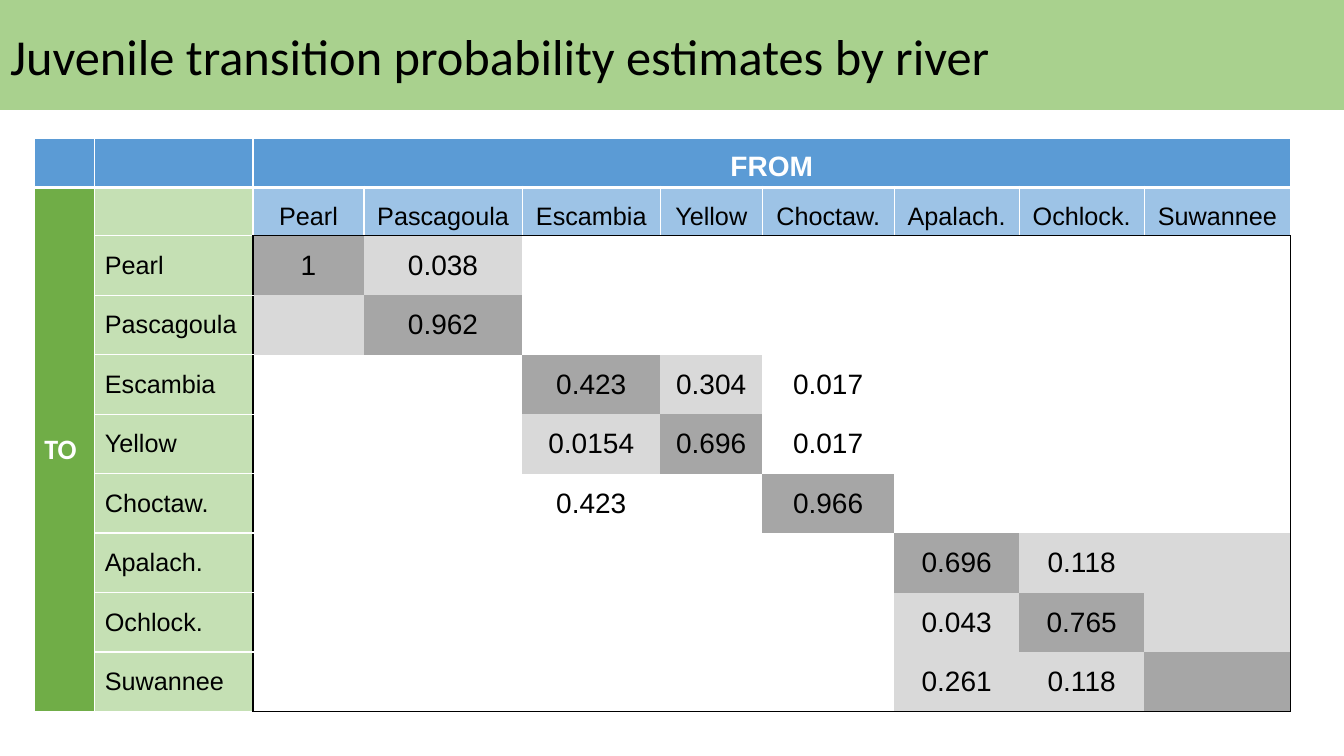
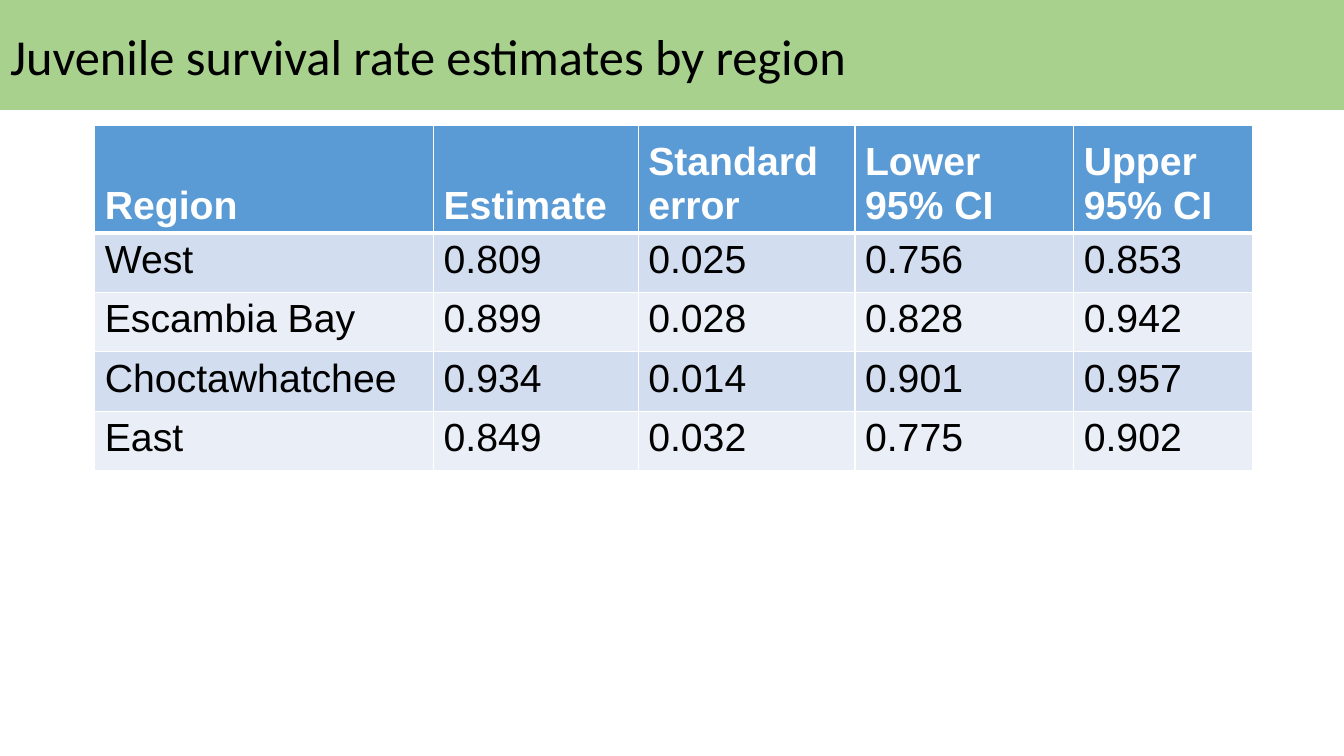
"""Build two slides of juvenile river transition and survival tables."""
import pptx
import pptx.util
import pptx.dml.color
import pptx.enum.text
import lxml.etree


class Theme:
    white, black = "FFFFFF", "000000"
    band, head, sub = "A9D18E", "5B9BD5", "9DC3E6"
    green, pale = "70AD47", "C5E0B4"
    dark, light = "A6A6A6", "D9D9D9"
    rows = ("D2DEEF", "EAEFF7")
    sans, plain = "Arial", "Calibri"
    title, big, mid, small = 36, 28, 20, 18


Inch = pptx.util.Inches
Color = pptx.dml.color.RGBColor.from_string
Align = pptx.enum.text.PP_ALIGN
Anchor = pptx.enum.text.MSO_ANCHOR
thin, thick, ink = (Theme.white, 1), (Theme.white, 3), (Theme.black, 1)

deck = pptx.Presentation()
deck.slide_width, deck.slide_height = Inch(13.33), Inch(7.5)


def write(frame, text, size, color=Theme.black, bold=False,
          face=Theme.sans, align=Align.LEFT):
    line = frame.paragraphs[0]
    line.alignment = align
    run = line.add_run()
    run.text = text
    run.font.size = pptx.util.Pt(size)
    run.font.name = face
    run.font.bold = bold
    run.font.color.rgb = Color(color)


def paint(cell, fill, edges, anchor=Anchor.MIDDLE):
    cell.vertical_anchor = anchor
    props = cell._tc.get_or_add_tcPr()
    for side, edge in zip("LRTB", edges):
        line = lxml.etree.SubElement(props, pptx.oxml.ns.qn("a:ln" + side))
        if edge:
            line.set("w", str(pptx.util.Pt(edge[1])))
            paper = lxml.etree.SubElement(line, pptx.oxml.ns.qn("a:solidFill"))
            lxml.etree.SubElement(paper, pptx.oxml.ns.qn("a:srgbClr"), val=edge[0])
        else:
            lxml.etree.SubElement(line, pptx.oxml.ns.qn("a:noFill"))
    cell.fill.solid()
    cell.fill.fore_color.rgb = Color(fill)


plans = [
    ("Juvenile transition probability estimates by river", 0.34, 1.37,
     [0.6, 1.57, 1.1, 1.57, 1.37, 1.01, 1.31, 1.24, 1.24, 1.45],
     [0.49, 0.48] + [0.59] * 8),
    ("Juvenile survival rate estimates by region", 0.94, 1.24,
     [3.36, 2.03, 2.15, 2.17, 1.77],
     [1.07] + [0.59] * 4),
]
grids = []
for name, left, top, cols, rows in plans:
    slide = deck.slides.add_slide(deck.slide_layouts[5])
    title = slide.shapes.title
    title.left = title.top = 0
    title.width, title.height = deck.slide_width, Inch(1.09)
    title.fill.solid()
    title.fill.fore_color.rgb = Color(Theme.band)
    title.text_frame.word_wrap = True
    title.text_frame.auto_size = pptx.enum.text.MSO_AUTO_SIZE.NONE
    title.text_frame.vertical_anchor = Anchor.MIDDLE
    write(title.text_frame, name, Theme.title, face=Theme.plain)
    grid = slide.shapes.add_table(len(rows), len(cols), Inch(left), Inch(top),
                                  Inch(sum(cols)), Inch(sum(rows))).table
    grid.first_row = grid.horz_banding = False
    for col, width in zip(grid.columns, cols):
        col.width = Inch(width)
    for row, height in zip(grid.rows, rows):
        row.height = Inch(height)
    grids.append(grid)

moves, rates = grids

rivers = ["Pearl", "Pascagoula", "Escambia", "Yellow",
          "Choctaw.", "Apalach.", "Ochlock.", "Suwannee"]
zones = [0, 0, 1, 1, 2, 3, 3, 3]
odds = [
    ["1", "0.038", "", "", "", "", "", ""],
    ["", "0.962", "", "", "", "", "", ""],
    ["", "", "0.423", "0.304", "0.017", "", "", ""],
    ["", "", "0.0154", "0.696", "0.017", "", "", ""],
    ["", "", "0.423", "", "0.966", "", "", ""],
    ["", "", "", "", "", "0.696", "0.118", ""],
    ["", "", "", "", "", "0.043", "0.765", ""],
    ["", "", "", "", "", "0.261", "0.118", ""],
]
last = len(rivers) - 1

for c in range(len(rivers) + 2):
    paint(moves.cell(0, c), Theme.head, (thin, thin, thin, thick), Anchor.BOTTOM)
for r in range(1, len(rivers) + 2):
    paint(moves.cell(r, 0), Theme.green,
          (thin, thin, thick if r == 1 else thin, thin))
moves.cell(0, 2).merge(moves.cell(0, last + 2))
moves.cell(1, 0).merge(moves.cell(last + 2, 0))
write(moves.cell(0, 2).text_frame, "FROM", Theme.mid, Theme.white, True,
      align=Align.CENTER)
write(moves.cell(1, 0).text_frame, "TO", Theme.mid, Theme.white, True, Theme.plain)
paint(moves.cell(1, 1), Theme.pale, (thin, thin, thick, thin))

for r, river in enumerate(rivers):
    top = moves.cell(1, r + 2)
    paint(top, Theme.sub, (thin, thin, thick, ink), Anchor.BOTTOM)
    write(top.text_frame, river, Theme.small, align=Align.CENTER)
    side = moves.cell(r + 2, 1)
    paint(side, Theme.pale, (thin, ink, thin, thin))
    write(side.text_frame, river, Theme.small)
    for c, odd in enumerate(odds[r]):
        cell = moves.cell(r + 2, c + 2)
        near = Theme.light if zones[r] == zones[c] else Theme.white
        paint(cell, Theme.dark if r == c else near,
              (ink if c == 0 else None, ink if c == last else None,
               ink if r == 0 else None, ink if r == last else None))
        if odd:
            write(cell.text_frame, odd, Theme.mid, align=Align.CENTER)

facts = [
    ["Region", "Estimate", "Standard error", "Lower 95% CI", "Upper 95% CI"],
    ["West", "0.809", "0.025", "0.756", "0.853"],
    ["Escambia Bay", "0.899", "0.028", "0.828", "0.942"],
    ["Choctawhatchee", "0.934", "0.014", "0.901", "0.957"],
    ["East", "0.849", "0.032", "0.775", "0.902"],
]
for r, fact in enumerate(facts):
    head = r == 0
    for c, text in enumerate(fact):
        cell = rates.cell(r, c)
        paint(cell, Theme.head if head else Theme.rows[(r - 1) % 2],
              (thin, thin, thick if r == 1 else thin, thick if head else thin),
              Anchor.BOTTOM if head else Anchor.TOP)
        write(cell.text_frame, text, Theme.big,
              Theme.white if head else Theme.black, head)

deck.save("out.pptx")
